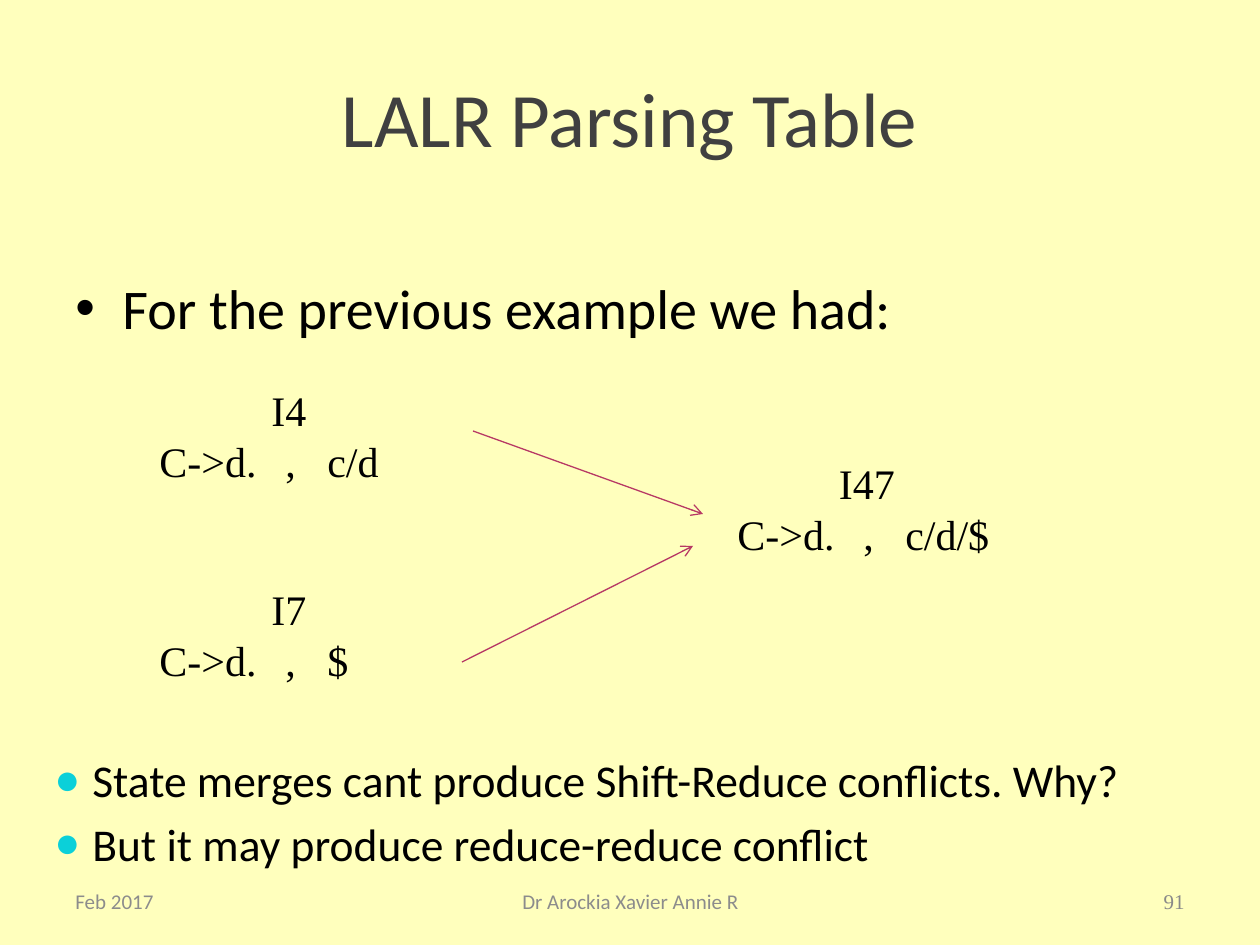
"""Build the LALR Parsing Table slide."""
from lxml.etree import SubElement
from pptx import Presentation
from pptx.dml.color import RGBColor
from pptx.enum.shapes import MSO_CONNECTOR
from pptx.enum.text import MSO_ANCHOR, PP_ALIGN
from pptx.oxml.ns import qn
from pptx.util import Pt

EMU_PER_PX = 914400 / 126
COLORS = {
    "background": "FFFFBD",
    "title": "404040",
    "text": "000000",
    "footer": "8C8C8C",
    "page": "898989",
    "arrow": "B73965",
    "bullet": "0BD0D9",
}
SANS, SERIF = "Calibri", "Times New Roman"
LEFT, CENTER, RIGHT = PP_ALIGN.LEFT, PP_ALIGN.CENTER, PP_ALIGN.RIGHT


def px(length):
    return round(length * EMU_PER_PX)


def color(name):
    return RGBColor.from_string(COLORS[name])


class SlideBuilder:
    def __init__(self, presentation):
        self.slide = presentation.slides.add_slide(presentation.slide_layouts[6])
        background = self.slide.background.fill
        background.solid()
        background.fore_color.rgb = color("background")

    def text(self, box, lines, size, ink="text", face=SANS, aligns=(LEFT,),
             anchor=MSO_ANCHOR.TOP, spacing=None):
        frame = self.slide.shapes.add_textbox(*map(px, box)).text_frame
        frame.word_wrap = True
        frame.vertical_anchor = anchor
        for index, line in enumerate(lines):
            paragraph = frame.paragraphs[0] if index == 0 else frame.add_paragraph()
            layout = {"alignment": aligns[index % len(aligns)], "line_spacing": spacing}
            for key, value in layout.items():
                setattr(paragraph, key, value)
            run = paragraph.add_run()
            run.text = line
            for key, value in {"size": Pt(size), "name": face}.items():
                setattr(run.font, key, value)
            run.font.color.rgb = color(ink)
        return frame.paragraphs

    def bullets(self, box, lines, size, indent, mark, ink="text", percent=100):
        for index, paragraph in enumerate(self.text(box, lines, size)):
            if index:
                paragraph.space_before = Pt(size * 0.2)
            properties = paragraph._p.get_or_add_pPr()
            properties.set("marL", str(px(indent)))
            properties.set("indent", str(-px(indent)))
            tint = SubElement(properties, qn("a:buClr"))
            SubElement(tint, qn("a:srgbClr"), val=COLORS[ink])
            SubElement(properties, qn("a:buSzPct"), val=str(percent * 1000))
            SubElement(properties, qn("a:buFont"), typeface="Arial")
            SubElement(properties, qn("a:buChar"), char=mark)

    def item_set(self, left, top, state, item):
        self.text((left, top, 284, 165), (state, item), 24, face=SERIF,
                  aligns=(CENTER, LEFT), spacing=Pt(29))

    def footer(self, left, width, line, align, ink="footer", face=SANS):
        self.text((left, 876, width, 50), (line,), 12, ink, face, (align,),
                  MSO_ANCHOR.MIDDLE)

    def arrow(self, start, end):
        connector = self.slide.shapes.add_connector(
            MSO_CONNECTOR.STRAIGHT, *map(px, start + end))
        connector.line.width = Pt(0.75)
        connector.line.color.rgb = color("arrow")
        SubElement(connector.line._get_or_add_ln(), qn("a:tailEnd"), type="arrow")
        SubElement(connector._element.spPr, qn("a:effectLst"))


def main():
    presentation = Presentation()
    presentation.slide_width, presentation.slide_height = px(1260), px(945)
    builder = SlideBuilder(presentation)

    builder.text((63, 38, 1134, 157), ("LALR Parsing Table",), 44, "title",
                 aligns=(CENTER,), anchor=MSO_ANCHOR.MIDDLE)
    builder.bullets((63, 267, 1134, 154), ("For the previous example we had:",),
                    32, 47, "•")

    builder.footer(63, 294, "Feb 2017", LEFT)
    builder.footer(431, 399, "Dr Arockia Xavier Annie R", CENTER)
    builder.footer(903, 294, "91", RIGHT, "page", SERIF)

    for left, top, state, lookahead in (
            (147, 378, "I4", "c/d"), (147, 577, "I7", "$"), (725, 451, "I47", "c/d/$")):
        builder.item_set(left, top, state, f"C->d.\t,   {lookahead}")
    builder.arrow((473, 431), (703, 514))
    builder.arrow((462, 662), (693, 546))

    builder.bullets((42, 746, 1134, 154),
                    ("State merges cant produce Shift-Reduce conflicts. Why?",
                     "But it may produce reduce-reduce conflict"),
                    26, 38, "●", "bullet", 95)
    presentation.save("out.pptx")


if __name__ == "__main__":
    main()
